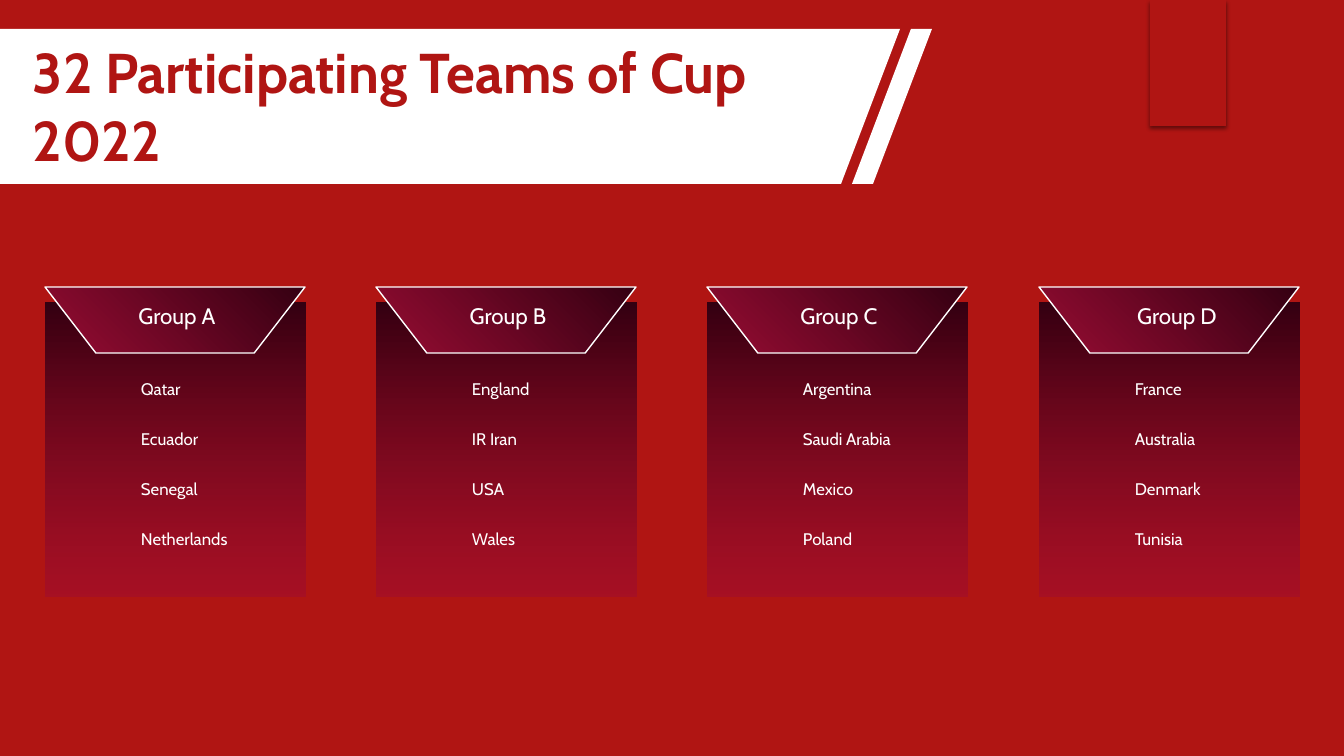
from pptx import Presentation
from pptx.dml.color import RGBColor
from pptx.enum.shapes import MSO_SHAPE as SHAPE
from pptx.enum.text import MSO_AUTO_SIZE as AUTO_SIZE, PP_ALIGN as ALIGN
from pptx.oxml import parse_xml
from pptx.oxml.ns import nsdecls, qn
from pptx.util import Pt
from lxml.etree import SubElement

PX = 12192000 / 1344  # EMU per pixel
RED, WHITE, DARK = "B01513", "FFFFFF", "350012"


def rgb(value):
    return RGBColor.from_string(value)


def add_text(shapes, box, text, size, color=WHITE, bold=None, align=None, wrap=False):
    frame = shapes.add_textbox(*[round(v * PX) for v in box]).text_frame
    frame.word_wrap = wrap
    frame.auto_size = AUTO_SIZE.SHAPE_TO_FIT_TEXT
    line = frame.paragraphs[0]
    line.text = text
    line.alignment = align
    for key, value in {"name": "Cabin", "size": Pt(size), "bold": bold}.items():
        setattr(line.font, key, value)
    line.font.color.rgb = rgb(color)


prs = Presentation()
prs.slide_width, prs.slide_height = round(1344 * PX), round(756 * PX)
slide = prs.slides.add_slide(prs.slide_layouts[6])
slide.background.fill.solid()
slide.background.fill.fore_color.rgb = rgb(RED)

# Hanging tab with a soft shadow
tab = slide.shapes.add_shape(SHAPE.RECTANGLE, *[round(v * PX) for v in (1150, 0, 76, 126)])
tab.fill.solid()
tab.fill.fore_color.rgb = rgb(RED)
tab.line.fill.background()
tab.element.spPr.append(parse_xml(
    f'<a:effectLst {nsdecls("a")}>'
    '<a:outerShdw blurRad="38100" dist="25400" dir="5400000" rotWithShape="0">'
    '<a:srgbClr val="000000"><a:alpha val="45000"/></a:srgbClr>'
    '</a:outerShdw></a:effectLst>'))

# Title banner and its slanted stripe
banner = [(0, 29), (900, 29), (841, 184), (0, 184)]
stripe = [(911, 29), (932, 29), (873, 184), (852, 184)]
for start, *corners in (banner, stripe):
    builder = slide.shapes.build_freeform(*start, scale=PX)
    builder.add_line_segments(corners, close=True)
    band = builder.convert_to_shape()
    band.shadow.inherit = False
    band.fill.solid()
    band.fill.fore_color.rgb = rgb(WHITE)
    band.line.fill.background()

add_text(slide.shapes, (23, 33, 837, 146), "32 Participating Teams of Cup 2022",
         40, RED, bold=True, wrap=True)

# Group cards: name, label offset, teams
groups = [
    ("Group A", 76, ["Qatar", "Ecuador", "Senegal", "Netherlands"]),
    ("Group B", 76, ["England", "IR Iran", "USA", "Wales"]),
    ("Group C", 76, ["Argentina", "Saudi Arabia", "Mexico", "Poland"]),
    ("Group D", 82, ["France", "Australia", "Denmark", "Tunisia"]),
]
for column, (name, label_offset, teams) in enumerate(groups):
    left = 45 + column * 994 // 3
    card = slide.shapes.add_group_shape().shapes

    # Panel and header, both turned upside down
    panel = card.add_shape(SHAPE.RECTANGLE, *[round(v * PX) for v in (left, 303, 260, 294)])
    header = card.add_shape(SHAPE.TRAPEZOID, *[round(v * PX) for v in (left, 287, 260, 66)])
    header.adjustments[0] = 0.77
    for part, light, angle in ((panel, "9D0C35", 270), (header, "980C33", 225)):
        part.shadow.inherit = False
        part.rotation = 180
        part.fill.gradient()
        part.fill.gradient_angle = angle
        for stop, color, position in zip(part.fill.gradient_stops, (light, DARK), (0, 1)):
            stop.color.rgb = rgb(color)
            stop.position = position
    light_stop = panel.element.spPr.find(".//" + qn("a:srgbClr"))
    SubElement(light_stop, qn("a:alpha"), val="50000")
    panel.line.fill.background()
    header.line.color.rgb = rgb(WHITE)
    header.line.width = Pt(1)

    # Group name and teams
    add_text(card, (left + label_offset, 297, 112, 37), name, 16, align=ALIGN.CENTER)
    for row, team in enumerate(teams):
        add_text(card, (left + 86, 374 + row * 50, 143, 30), team, 12, wrap=True)

prs.save("out.pptx")
